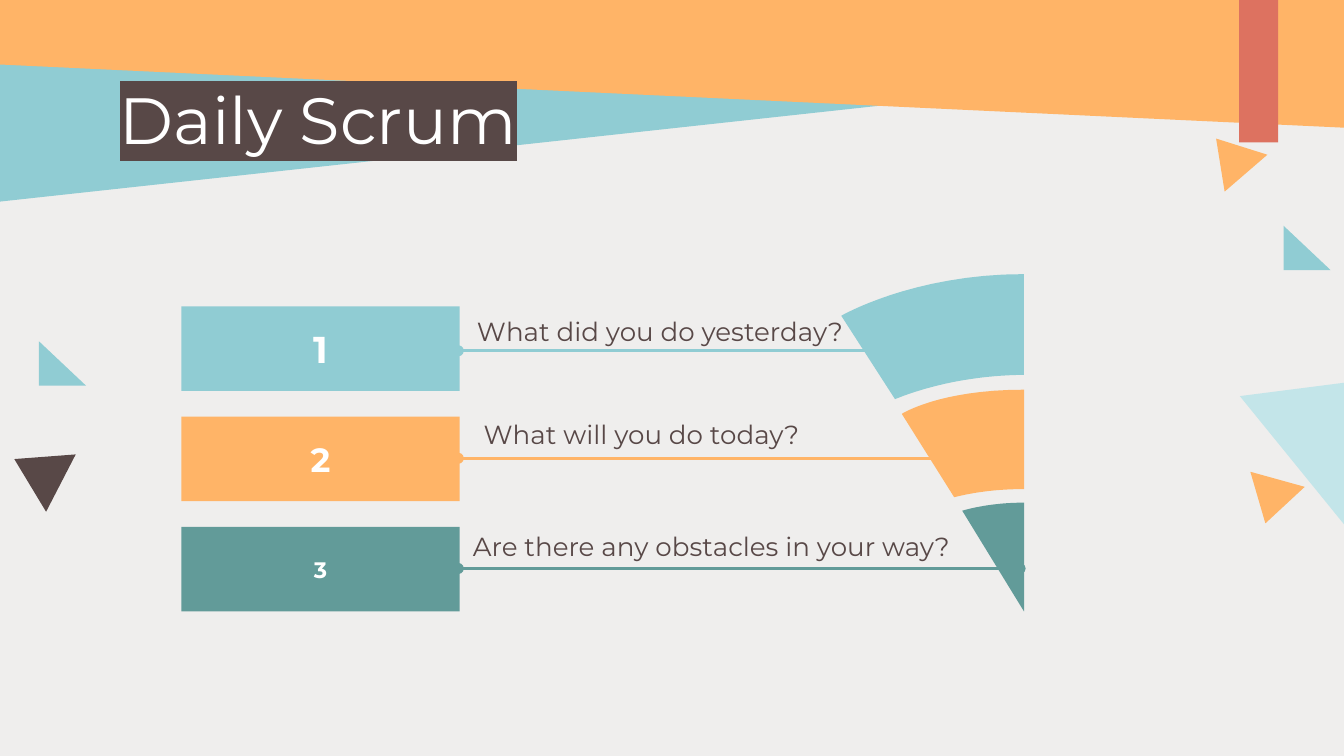
from lxml.etree import SubElement
from pptx import Presentation
from pptx.dml.color import RGBColor
from pptx.enum.shapes import MSO_CONNECTOR as Connector, MSO_SHAPE as Shape
from pptx.enum.text import MSO_ANCHOR as Anchor, MSO_AUTO_SIZE as AutoSize, PP_ALIGN as Align
from pptx.oxml import parse_xml
from pptx.oxml.ns import nsdecls, qn
from pptx.util import Inches, Pt

FONT = "Montserrat"
BLUE, ORANGE, GREEN = "90CCD3", "FFB467", "629B99"
BROWN, PALE_BLUE, RED = "584847", "C3E5E9", "DD7260"
WHITE, PAPER = "FFFFFF", "EFEEED"

TRIANGLES = [
    (Shape.ISOSCELES_TRIANGLE, 9.25, 3.56, 0.42, 0.34, 195.5, ORANGE),
    (Shape.RIGHT_TRIANGLE, 0.29, 2.54, 0.35, 0.33, 0, BLUE),
    (Shape.ISOSCELES_TRIANGLE, 0.04, 3.31, 0.48, 0.39, 297.3, BROWN),
    (Shape.ISOSCELES_TRIANGLE, 9.39, 2.6, 1.29, 1.04, 50.9, PALE_BLUE),
    (Shape.ISOSCELES_TRIANGLE, 8.95, 0.99, 0.42, 0.34, 319.2, ORANGE),
    (Shape.RIGHT_TRIANGLE, 9.55, 1.68, 0.35, 0.33, 0, BLUE),
]

WEDGES = [
    (GREEN, [(0.9, 1.76), (1.04, 1.72), (1.2, 1.7), (1.36, 1.7)],
     [(1.36, 2.51)] * 4),
    (ORANGE, [(0.45, 1.04), (0.45, 1.04), (0.73, 0.86), (1.36, 0.86)],
     [(1.36, 1.6), (1.29, 1.6), (1.08, 1.6), (0.84, 1.66)]),
    (BLUE, [(0, 0.31), (0, 0.31), (0.53, 0), (1.36, 0)],
     [(1.36, 0.75), (1.19, 0.75), (0.8, 0.77), (0.4, 0.93)]),
]

QUESTIONS = [
    ("1", 20, BLUE, 5.28, 0.33, "What did you do yesterday?", (2.1, -0.03, 3.35, 0.38)),
    ("2", 18, ORANGE, 5.73, 0.31, "What will you do today?", (2.15, -0.09, 2.69, 0.43)),
    ("3", 12, GREEN, 6.24, 0.31, "Are there any obstacles in your way?",
     (2.07, -0.07, 3.85, 0.38)),
]


def color(value):
    """Turn a hex string into a colour."""
    return RGBColor.from_string(value)


def paint(shape, fill):
    """Give a shape a plain fill without line or shadow."""
    shape.fill.solid()
    shape.fill.fore_color.rgb = color(fill)
    shape.line.fill.background()
    shape.shadow.inherit = False
    return shape


def add_preset(page, kind, box, fill):
    """Add a plain preset shape."""
    return paint(page.shapes.add_shape(kind, *map(Inches, box)), fill)


def add_outline(page, left, top, points, fill):
    """Add a closed outline whose points are relative to left and top."""
    corners = [(Inches(left + x), Inches(top + y)) for x, y in points]
    builder = page.shapes.build_freeform(*corners[0])
    builder.add_line_segments(corners[1:], close=True)
    return paint(builder.convert_to_shape(), fill)


def curve(start, pull, push, end, steps=16):
    """List the points along a cubic curve."""
    points = []
    for step in range(steps + 1):
        t = step / steps
        weights = ((1 - t) ** 3, 3 * t * (1 - t) ** 2, 3 * t * t * (1 - t), t ** 3)
        points.append(tuple(sum(w * p[axis] for w, p in zip(weights, (start, pull, push, end)))
                            for axis in (0, 1)))
    return points


def write(shape, text, size, fill, align=Align.LEFT, anchor=Anchor.TOP, bold=False):
    """Write one run of text into a shape and return the run."""
    frame = shape.text_frame
    frame.word_wrap = True
    frame.auto_size = AutoSize.NONE
    frame.vertical_anchor = anchor
    frame.margin_left = frame.margin_right = Inches(0.1)
    frame.margin_top = frame.margin_bottom = Inches(0.1)
    para = frame.paragraphs[0]
    para.alignment = align
    span = para.add_run()
    span.text = text
    span.font.size = Pt(size)
    span.font.name = FONT
    span.font.bold = bold
    span.font.color.rgb = color(fill)
    return span


def add_dotted_line(page, start, end, y, fill):
    """Add a level line with a dot at each end."""
    line = page.shapes.add_connector(
        Connector.STRAIGHT, Inches(start), Inches(y), Inches(end), Inches(y))
    line.line.color.rgb = color(fill)
    line.line.width = Pt(1.5)
    outline = line.line._get_or_add_ln()
    for name in ("a:headEnd", "a:tailEnd"):
        SubElement(outline, qn(name), type="oval")
    SubElement(line.element.spPr, qn("a:effectLst"))


def add_backdrop(page, width):
    """Draw the bands, the ribbon and the scattered triangles."""
    add_outline(page, 0, 0, [(0, 0.43), (0, 1.5), (width, 0.41)], BLUE)
    add_outline(page, 0, 0, [(0, 0), (width, 0), (width, 0.95), (0, 0.48)], ORANGE)
    for kind, *box, turn, fill in TRIANGLES:
        add_preset(page, kind, box, fill).rotation = turn
    add_preset(page, Shape.RECTANGLE, (9.22, 0, 0.29, 1.06), RED)


def add_title(page, box, text):
    """Place the title with its highlighted text above the bands."""
    title = page.shapes.title
    title.left, title.top, title.width, title.height = map(Inches, box)
    span = write(title, text, 35, WHITE)
    highlight = parse_xml(
        f'<a:highlight {nsdecls("a")}><a:srgbClr val="{BROWN}"/></a:highlight>')
    span.font._element.find(qn("a:solidFill")).addnext(highlight)
    page.shapes.element.append(title.element)


def add_fan(page, left, top):
    """Draw the three wedges of the fan."""
    for fill, outer, inner in WEDGES:
        add_outline(page, left, top, curve(*outer) + curve(*inner), fill)


def add_questions(page, left, top, width=2.07, height=0.63, pitch=0.82):
    """Draw the numbered bars with their lines and questions."""
    for row, (number, size, fill, reach, drop, question, label) in enumerate(QUESTIONS):
        row_top = top + row * pitch
        bar = add_preset(page, Shape.RECTANGLE, (left, row_top, width, height), fill)
        write(bar, number, size, WHITE, Align.CENTER, Anchor.MIDDLE, True)
        add_dotted_line(page, left + reach, left + width - 0.01, row_top + drop, fill)
        x, y, label_width, label_height = label
        box = page.shapes.add_textbox(*map(
            Inches, (left + x, row_top + y, label_width, label_height)))
        write(box, question, 14, BROWN)


def main():
    """Build the deck and save it."""
    deck = Presentation()
    deck.slide_width, deck.slide_height = Inches(10), Inches(10 * 9 / 16)
    page = deck.slides.add_slide(deck.slide_layouts[5])
    page.background.fill.solid()
    page.background.fill.fore_color.rgb = color(PAPER)
    add_backdrop(page, 10)
    add_title(page, (0.79, 0.49, 8.43, 0.7), "Daily Scrum")
    add_fan(page, 6.26, 2.04)
    add_questions(page, 1.35, 2.28)
    deck.save("out.pptx")


if __name__ == "__main__":
    main()
